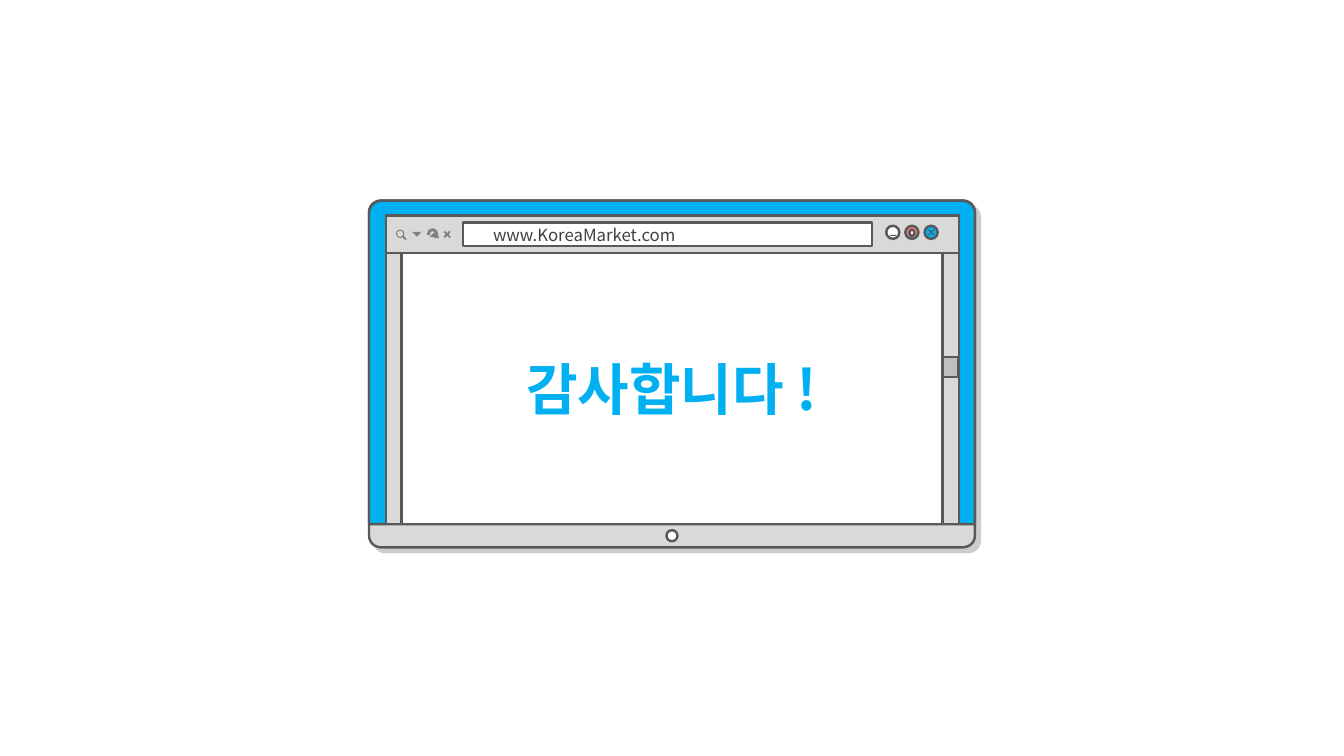
from math import cos, radians, sin

from lxml import etree
from pptx import Presentation
from pptx.dml.color import RGBColor
from pptx.enum.shapes import MSO_SHAPE
from pptx.enum.text import MSO_ANCHOR, MSO_AUTO_SIZE, PP_ALIGN
from pptx.oxml.ns import qn
from pptx.util import Inches, Pt

RECT, OVAL, ARC = MSO_SHAPE.RECTANGLE, MSO_SHAPE.OVAL, MSO_SHAPE.ARC
ROUND, TOP = MSO_SHAPE.ROUNDED_RECTANGLE, MSO_SHAPE.ROUND_2_SAME_RECTANGLE
WEDGE, PLUS = MSO_SHAPE.ISOSCELES_TRIANGLE, MSO_SHAPE.MATH_PLUS
LEFT, CENTER = PP_ALIGN.LEFT, PP_ALIGN.CENTER
MIDDLE, FIXED = MSO_ANCHOR.MIDDLE, MSO_AUTO_SIZE.NONE

COLS, ROWS = 1333, 750
CELL = Inches(0.01)
FONT = "Noto Sans CJK KR"
BLUE, WHITE, PINK = "00B0F0", "FFFFFF", "FF7C80"
DARK, INK, ICON = "595959", "404040", "808080"
PALE, THUMB = "D9D9D9", "BFBFBF"


def color(code):
    return RGBColor.from_string(code)


def write(shape, words, size=12, ink=INK, bold=False, align=LEFT, inset=10):
    frame = shape.text_frame
    frame.auto_size = FIXED
    frame.word_wrap = True
    frame.vertical_anchor = MIDDLE
    frame.margin_left = inset * CELL
    frame.margin_top = frame.margin_bottom = 0
    para = frame.paragraphs[0]
    para.alignment = align
    run = para.add_run()
    run.text = words
    font = run.font
    font.name, font.size, font.bold = FONT, Pt(size), bold
    font.color.rgb = color(ink)
    etree.SubElement(run._r.get_or_add_rPr(), qn("a:ea"), typeface=FONT)


class Canvas:
    """A slide laid out on a grid of COLS by ROWS cells."""

    def __init__(self, deck):
        deck.slide_width, deck.slide_height = COLS * CELL, ROWS * CELL
        self.slide = deck.slides.add_slide(deck.slide_layouts[5])
        self.shapes = self.slide.shapes

    def paint(self, shape, fill, line=DARK, width=1.75):
        if fill:
            shape.fill.solid()
            shape.fill.fore_color.rgb = color(fill)
        else:
            shape.fill.background()
        if line:
            shape.line.color.rgb = color(line)
            shape.line.width = Pt(width)
        else:
            shape.line.fill.background()

    def draw(self, kind, x, y, w, h, fill, line=DARK, width=1.75, turn=0, adj=()):
        shape = self.shapes.add_shape(kind, *(round(n * CELL) for n in (x, y, w, h)))
        shape.shadow.inherit = False
        shape.rotation = turn
        for index, value in enumerate(adj):
            shape.adjustments[index] = value
        self.paint(shape, fill, line, width)
        return shape

    def icon(self, kind, x, y, w, h, fill=ICON, **style):
        return self.draw(kind, x, y, w, h, fill, line=None, **style)

    def shade(self, shape):
        """Add a hard drop shadow to the lower right."""
        effects = shape.element.spPr.find(qn("a:effectLst"))
        drop = etree.SubElement(effects, qn("a:outerShdw"), blurRad="0",
                                dist=str(Pt(5)), dir="2700000", algn="tl", rotWithShape="0")
        black = etree.SubElement(drop, qn("a:srgbClr"), val="000000")
        etree.SubElement(black, qn("a:alpha"), val="20000")

    def lens(self, x, y, radius):
        """Draw a magnifier centred at x, y with its handle to the lower right."""
        def ring(size, first, last):
            return [((x + size * cos(radians(a))) * CELL, (y + size * sin(radians(a))) * CELL)
                    for a in range(first, last + 1, 10)]

        rim, hole = ring(radius, 60, 390), ring(radius - 1, 0, 350)
        grip = [((x + a) * CELL, (y + b) * CELL) for a, b in ((6, 5), (6, 6), (5, 6))]
        path = self.shapes.build_freeform(*rim[0], scale=1.0)
        path.add_line_segments(rim[1:] + grip)
        path.move_to(*hole[0])
        path.add_line_segments(hole[1:])
        shape = path.convert_to_shape()
        shape.shadow.inherit = False
        self.paint(shape, ICON, None)

    def reload(self, x, y, size):
        """Draw an almost closed circle that ends in an arrowhead."""
        shape = self.draw(ARC, x, y, size, size, None, ICON, 2,
                          adj=[angle * 0.6 for angle in (162, 133.65)])
        edge = shape.element.spPr.find(qn("a:ln"))
        etree.SubElement(edge, qn("a:tailEnd"), type="triangle")

    def title(self, words, x, y, w, h, fill, **style):
        shape = self.shapes.title
        shape.left, shape.top, shape.width, shape.height = (n * CELL for n in (x, y, w, h))
        self.paint(shape, fill)
        write(shape, words, **style)
        shape.element.getparent().append(shape.element)


def main():
    deck = Presentation()
    page = Canvas(deck)

    # Monitor and browser frame
    page.shade(page.draw(ROUND, 366, 199, 601, 344, PALE, adj=[0.034]))
    page.draw(TOP, 366, 199, 601, 321, BLUE, adj=[0.038, 0])
    for height in (306, 37):
        page.draw(RECT, 383, 214, 568, height, PALE)
    address = page.draw(RECT, 459, 221, 406, 23, WHITE)
    write(address, "www.KoreaMarket.com", inset=30)

    # Window buttons
    for index, fill in enumerate((WHITE, PINK, BLUE)):
        page.draw(OVAL, 879 + 19 * index, 224, 13, 13, fill)
    page.draw(OVAL, 902, 228, 5, 6, WHITE)
    page.icon(RECT, 883, 233, 6, 1, DARK)
    for turn in (45, 315):
        page.icon(RECT, 920, 230, 7.5, 1, DARK, turn=turn)

    # Toolbar icons
    page.lens(397, 232, 4)
    page.icon(WEDGE, 409, 230, 9, 5, turn=180)
    page.icon(PLUS, 438, 227, 11, 11, turn=315, adj=[0.167])
    page.reload(425, 228, 8)

    # Screen, scroll thumb and home button
    page.title("감사합니다 !", 398, 251, 537, 269, WHITE,
               size=40, ink=BLUE, bold=True, align=CENTER)
    page.draw(RECT, 935, 354, 15, 20, THUMB)
    page.draw(OVAL, 661, 526, 11, 11, WHITE)

    deck.save("out.pptx")


if __name__ == "__main__":
    main()
